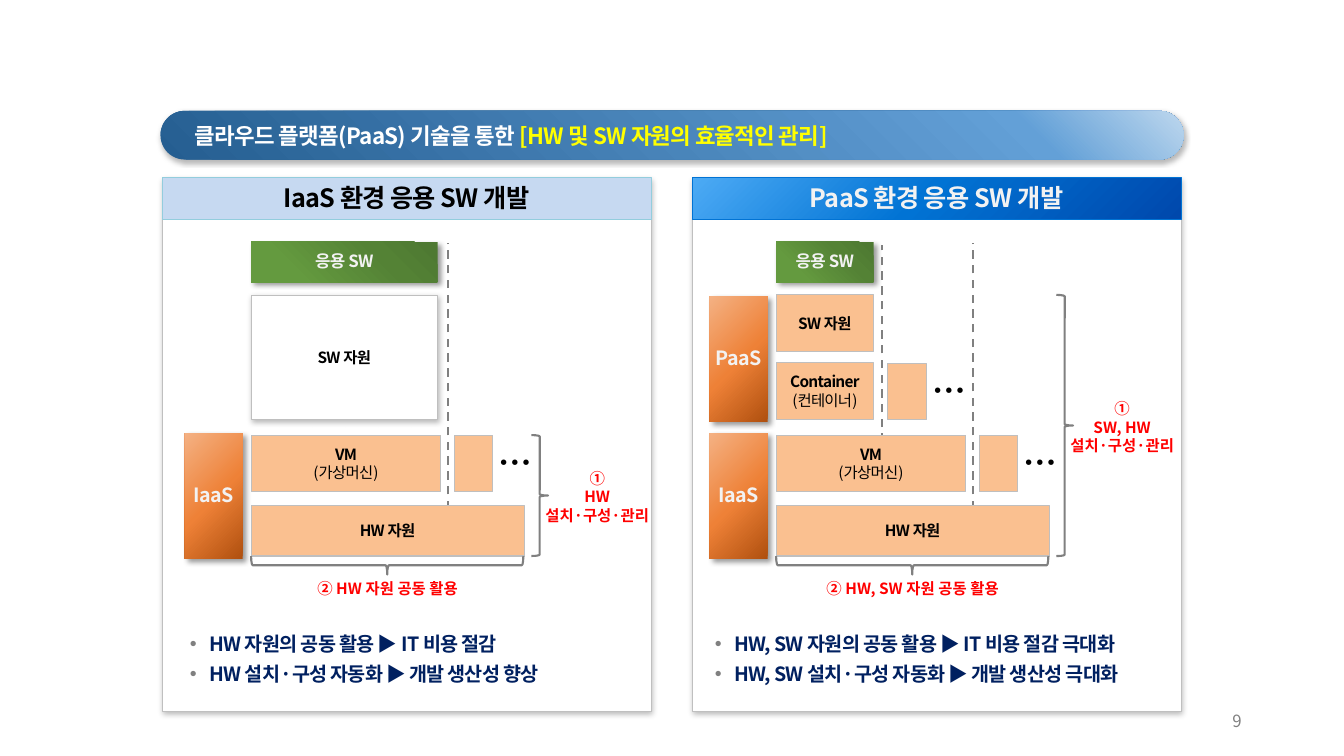
import pptx
import pptx.util
import pptx.oxml
from pptx.dml.color import RGBColor
from pptx.enum.dml import MSO_LINE
from pptx.enum.shapes import MSO_CONNECTOR, MSO_SHAPE
from pptx.enum.text import MSO_ANCHOR, MSO_AUTO_SIZE, PP_ALIGN
from pptx.oxml.ns import nsdecls, qn

Inches, Pt = pptx.util.Inches, pptx.util.Pt

# The slide is a grid of 160 columns by 90 rows.
WIDTH, HEIGHT = Inches(13.33), Inches(7.5)
COL, ROW = WIDTH / 160, HEIGHT / 90
PANEL_STEP, DIAGRAM_STEP = 63.1, 62.5
STACK_X, BOX_H = 29.9, 6.7
VM_Y, HW_Y, SW_Y = 51.8, 60.2, 35.1

FONT = "Noto Sans CJK KR"
BLACK = RGBColor(0x00, 0x00, 0x00)
WHITE = RGBColor(0xFF, 0xFF, 0xFF)
OFF_WHITE = RGBColor(0xF2, 0xF2, 0xF2)
YELLOW = RGBColor(0xFF, 0xFF, 0x00)
RED = RGBColor(0xFF, 0x00, 0x00)
NAVY = RGBColor(0x00, 0x20, 0x60)
GRAY = RGBColor(0x80, 0x80, 0x80)
SILVER = RGBColor(0xBF, 0xBF, 0xBF)
PEACH = RGBColor(0xFA, 0xC0, 0x90)
PALE_BLUE = RGBColor(0xC6, 0xD9, 0xF1)
AQUA = RGBColor(0x93, 0xCD, 0xDD)
BLUE = RGBColor(0x01, 0x73, 0xD4)

# Gradients: stops by percent, then the direction.
BANNER_FILL = ([(0, RGBColor(0xBD, 0xD7, 0xEE)), (16, RGBColor(0x63, 0xA0, 0xD7)),
                (100, RGBColor(0x25, 0x5E, 0x91))], "top right")
HEADER_FILL = ([(0, RGBColor(0x4D, 0xAB, 0xF5)), (47, BLUE),
                (100, RGBColor(0x00, 0x48, 0xAC))], 45)
LAYER_FILL = ([(0, RGBColor(0xB0, 0x50, 0x0F)), (48, RGBColor(0xEE, 0x81, 0x37)),
               (100, RGBColor(0xF4, 0xB1, 0x83))], 225)
APP_FILL = ([(0, RGBColor(0x64, 0x9A, 0x3F)), (23, RGBColor(0x64, 0x9A, 0x3F)),
             (69, RGBColor(0x54, 0x82, 0x35)), (97, RGBColor(0x4E, 0x79, 0x32))],
            "bottom left")
FOCUS = {"top right": 'l="100000" b="100000"', "bottom left": 't="100000" r="100000"'}

# Shadows: opacity percent, blur, distance, angle.
SOFT = (28, 4, 2, 67)
BANNER_SHADOW = (28, 4, 2, 70)
STRONG = (40, 4, 3, 45)


def grid(x, y, w, h):
    return [round(v) for v in (x * COL, y * ROW, w * COL, h * ROW)]


def write(tf, paragraphs, size=11, color=BLACK, bold=True, align=PP_ALIGN.CENTER,
          spacing=0, anchor=MSO_ANCHOR.MIDDLE, wrap=True, insets=(.1, .05, .1, .05),
          line_spacing=None, before=None):
    """Fill a text frame; a paragraph is a string or a list of (text, overrides)."""
    tf.auto_size, tf.word_wrap, tf.vertical_anchor = MSO_AUTO_SIZE.NONE, wrap, anchor
    tf.margin_left, tf.margin_top, tf.margin_right, tf.margin_bottom = map(Inches, insets)
    for i, runs in enumerate(paragraphs):
        p = tf.add_paragraph() if i else tf.paragraphs[0]
        p.alignment = align
        if line_spacing:
            p.line_spacing = line_spacing
        if before is not None:
            p.space_before = Pt(before)
        for text, changes in ([(runs, {})] if isinstance(runs, str) else runs):
            r = p.add_run()
            r.text = text
            r.font.size, r.font.name = Pt(size), FONT
            r.font.bold = changes.get("bold", bold)
            r.font.color.rgb = changes.get("color", color)
            rPr = r.font._element
            rPr.set("spc", str(round(spacing * 100)))
            rPr.find(qn("a:latin")).addnext(
                pptx.oxml.parse_xml(f'<a:ea {nsdecls("a")} typeface="{FONT}"/>'))


def set_gradient(sp, stops, direction):
    stop_xml = "".join(f'<a:gs pos="{pos * 1000}"><a:srgbClr val="{color}"/></a:gs>'
                       for pos, color in stops)
    if direction in FOCUS:
        way = f'<a:path path="circle"><a:fillToRect {FOCUS[direction]}/></a:path>'
    else:
        way = f'<a:lin ang="{direction * 60000}" scaled="0"/>'
    sp.fill.background()
    spPr = sp._element.spPr
    spPr.replace(spPr.find(qn("a:noFill")), pptx.oxml.parse_xml(
        f'<a:gradFill {nsdecls("a")} rotWithShape="1"><a:gsLst>{stop_xml}</a:gsLst>'
        f'{way}</a:gradFill>'))


def set_shadow(sp, opacity, blur, distance, angle):
    sp._element.spPr.find(qn("a:effectLst")).append(pptx.oxml.parse_xml(
        f'<a:outerShdw {nsdecls("a")} blurRad="{Pt(blur)}" dist="{Pt(distance)}" '
        f'dir="{angle * 60000}" algn="ctr" rotWithShape="0"><a:srgbClr val="000000">'
        f'<a:alpha val="{opacity * 1000}"/></a:srgbClr></a:outerShdw>'))


def add_box(s, x, y, w, h, paragraphs=(), kind=MSO_SHAPE.RECTANGLE, fill=PEACH,
            line=SILVER, line_width=.75, shadow=None, bottom=.08, **text_format):
    sp = s.shapes.add_shape(kind, *grid(x, y, w, h))
    if isinstance(fill, tuple) and not isinstance(fill, RGBColor):
        set_gradient(sp, *fill)
    elif fill is None:
        sp.fill.background()
    else:
        sp.fill.solid()
        sp.fill.fore_color.rgb = fill
    if line is None:
        sp.line.fill.background()
    else:
        sp.line.color.rgb, sp.line.width = line, Pt(line_width)
    sp.shadow.inherit = False
    if shadow:
        set_shadow(sp, *shadow)
    if paragraphs:
        write(sp.text_frame, paragraphs, spacing=-.5, wrap=False,
              insets=(.08, .08, .08, bottom), **text_format)
    return sp


def add_text(s, x, y, w, h, paragraphs, **text_format):
    write(s.shapes.add_textbox(*grid(x, y, w, h)).text_frame, paragraphs, **text_format)


def add_brace(s, x, y, w, h, rotation=0):
    sp = add_box(s, x, y, w, h, kind=MSO_SHAPE.RIGHT_BRACE, fill=None,
                 line=GRAY, line_width=1.5)
    sp.rotation = rotation


def add_divider(s, x, bottom, top):
    x1, y1, x2, y2 = grid(x, bottom, x, top)
    c = s.shapes.add_connector(MSO_CONNECTOR.STRAIGHT, x1, y1, x2, y2)
    c.line.color.rgb, c.line.width, c.line.dash_style = GRAY, Pt(1.5), MSO_LINE.DASH
    c._element.spPr.append(pptx.oxml.parse_xml(f'<a:effectLst {nsdecls("a")}/>'))


def place(s, placeholder, x, y, w, h):
    """Position a placeholder and bring it to the front."""
    placeholder.left, placeholder.top, placeholder.width, placeholder.height = grid(x, y, w, h)
    s.shapes._spTree.append(placeholder._element)


def add_spare(s, x, y):
    """A further small box followed by an ellipsis."""
    add_box(s, x, y, 4.6, BOX_H)
    add_text(s, x + 4.1, y - 2.7, 6, 7.9, ["…"], size=24, align=PP_ALIGN.LEFT,
             anchor=MSO_ANCHOR.TOP, wrap=False, line_spacing=1.6)


def add_banner(s):
    box = (19.1, 13.2, 121.8, 5.8)
    sp = add_box(s, *box, kind=MSO_SHAPE.ROUNDED_RECTANGLE, fill=BANNER_FILL,
                 line=None, shadow=BANNER_SHADOW)
    sp.adjustments[0] = .5
    place(s, s.shapes.title, *box)
    write(s.shapes.title.text_frame,
          [[("클라우드 플랫폼(PaaS) 기술을 통한 ", {}),
            ("[HW 및 SW 자원의 효율적인 관리]", {"color": YELLOW})]],
          size=16, color=WHITE, align=PP_ALIGN.LEFT, spacing=-.5,
          insets=(.34, .08, .08, .08))


def add_panel(s, x, title, **header_format):
    add_box(s, x, 21.2, 58.2, 63.5, fill=WHITE, line_width=.5, shadow=SOFT)
    add_box(s, x, 21.1, 58.2, 5, [title], line_width=.5, bottom=.1, size=18,
            **header_format)


def add_layer(s, x, y, name):
    add_box(s, x, y, 6.9, 14.9, [name], fill=LAYER_FILL, line=None, shadow=STRONG,
            bottom=.1, size=14, color=OFF_WHITE)


def add_stack(s, dx, app_w, managed, managed_y, brace_top, shared):
    """The parts both diagrams have: layer, VM, HW, application and red remarks."""
    x = STACK_X + dx
    add_layer(s, 22 + dx, 51.6, "IaaS")
    add_divider(s, 53.3 + dx, 60.6, 28.9)
    add_box(s, x, HW_Y, 32.5, 6, ["HW 자원"])
    add_spare(s, 54.05 + dx, VM_Y)
    add_brace(s, 63.25 + dx, brace_top, 2, 66.2 - brace_top)
    add_text(s, 63.6 + dx, managed_y, 15, 7.9, ["①", managed, "설치·구성·관리"], color=RED)
    add_brace(s, 45 + dx, 51.1, 2.2, 32.4, rotation=90)
    add_text(s, x, 68.3, 32.5, 3.5, [shared], color=RED, anchor=MSO_ANCHOR.TOP)
    add_box(s, x, 28.8, app_w, 4.8, ["응용 SW"], fill=APP_FILL, line=None,
            shadow=STRONG, bottom=.1, size=12, color=OFF_WHITE)


def add_vm(s, dx):
    add_box(s, STACK_X + dx, VM_Y, 22.6, BOX_H, ["VM", [("(가상머신)", {"bold": False})]])


def add_benefits(s, body, dx, lines):
    place(s, body, 20.2 + dx, 74.8, 58.2, 8.5)
    write(body.text_frame, lines, size=14, color=NAVY, align=PP_ALIGN.LEFT, spacing=-.5,
          anchor=MSO_ANCHOR.TOP, insets=(.2, .04, .1, .05), before=4)
    for p in body.text_frame.paragraphs:
        pPr = p._p.get_or_add_pPr()
        pPr.set("marL", str(Inches(.19)))
        pPr.set("indent", str(-Inches(.19)))
        for xml in (f'<a:buClr {nsdecls("a")}><a:srgbClr val="{GRAY}"/></a:buClr>',
                    f'<a:buChar {nsdecls("a")} char="•"/>'):
            pPr.append(pptx.oxml.parse_xml(xml))


def main():
    prs = pptx.Presentation()
    prs.slide_width, prs.slide_height = WIDTH, HEIGHT
    s = prs.slides.add_slide(prs.slide_layouts[3])
    left_body, right_body = s.placeholders[1], s.placeholders[2]

    add_banner(s)
    add_panel(s, 19.3, "IaaS 환경 응용 SW 개발", fill=PALE_BLUE, line=AQUA)
    add_panel(s, 19.3 + PANEL_STEP, "PaaS 환경 응용 SW 개발", fill=HEADER_FILL,
              line=BLUE, color=OFF_WHITE)

    add_stack(s, 0, 22.2, "HW", 55.2, VM_Y, "② HW 자원 공동 활용")
    add_vm(s, 0)
    add_box(s, STACK_X, SW_Y, 22.2, 14.8, ["SW 자원"], fill=WHITE, line_width=.5,
            shadow=SOFT)
    add_benefits(s, left_body, 0, ["HW 자원의 공동 활용 ▶ IT 비용 절감",
                                   "HW 설치·구성 자동화 ▶ 개발 생산성 향상"])

    dx = DIAGRAM_STEP
    add_stack(s, dx, 11.6, "SW, HW", 46.9, SW_Y, "② HW, SW 자원 공동 활용")
    add_layer(s, 22 + dx, 35.3, "PaaS")
    add_box(s, STACK_X + dx, 43.2, 11.6, BOX_H,
            ["Container", [("(컨테이너)", {"bold": False})]])
    add_box(s, STACK_X + dx, SW_Y, 11.6, BOX_H, ["SW 자원"])
    add_divider(s, 42.55 + dx, 52.6, 29.2)
    add_spare(s, 43.2 + dx, 43.3)
    add_vm(s, dx)
    add_benefits(s, right_body, dx, ["HW, SW 자원의 공동 활용 ▶ IT 비용 절감 극대화",
                                     "HW, SW 설치·구성 자동화 ▶ 개발 생산성 극대화"])

    add_text(s, 113, 83.4, 36, 4.8, ["9"], size=12, color=GRAY, bold=False,
             align=PP_ALIGN.RIGHT)
    prs.save("out.pptx")


if __name__ == "__main__":
    main()
